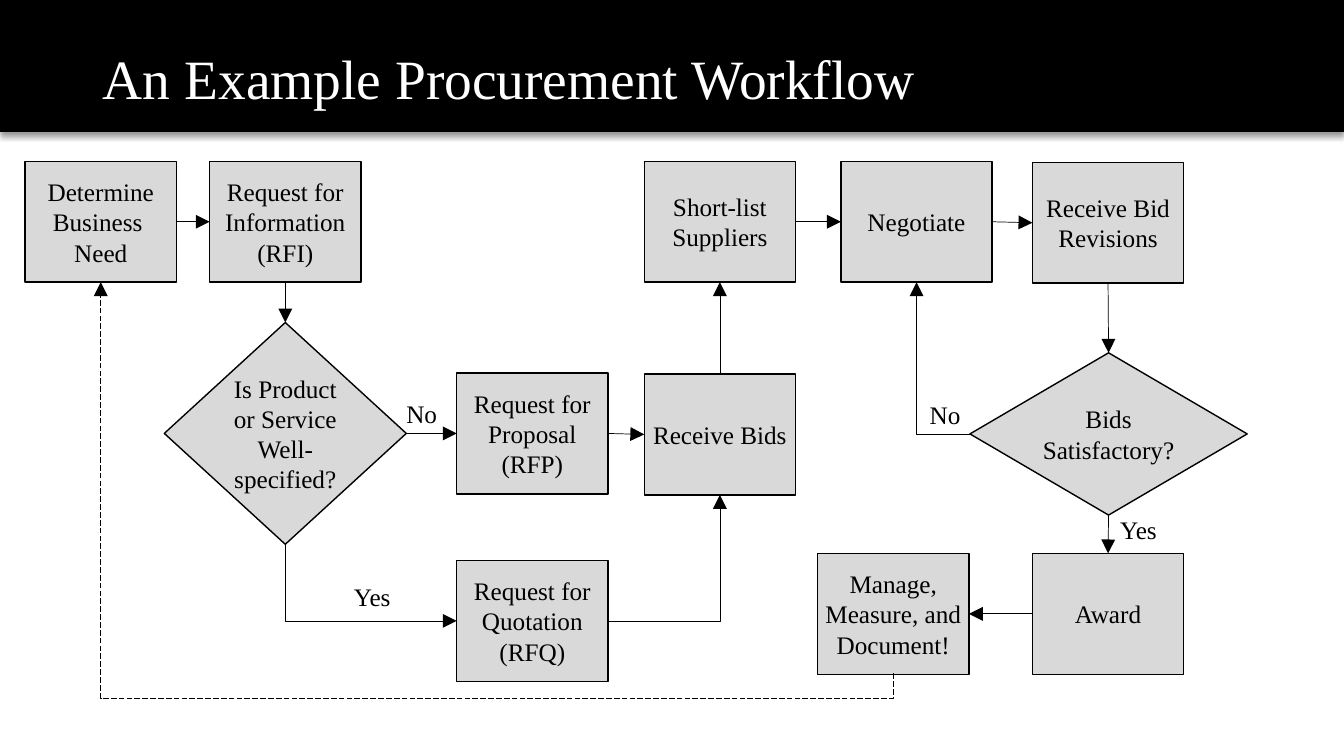
"""Build a one-slide flowchart of a procurement workflow."""
from lxml import etree
from pptx import Presentation
from pptx.dml.color import RGBColor
from pptx.enum import dml, shapes, text
from pptx.oxml import ns
from pptx.util import Inches, Pt

FONT = "Times New Roman"
TOP, LEFT, BOTTOM, RIGHT = range(4)


def color(hex_string):
    return RGBColor.from_string(hex_string)


def set_text(shape, words, size, hex_string, alignment):
    frame = shape.text_frame
    frame.word_wrap = True
    frame.margin_left = frame.margin_right = frame.margin_top = frame.margin_bottom = 0
    frame.text = words
    paragraph = frame.paragraphs[0]
    paragraph.alignment = alignment
    paragraph.font.name = FONT
    paragraph.font.size = Pt(size)
    paragraph.font.color.rgb = color(hex_string)


presentation = Presentation()
presentation.slide_width = Inches(13.33)
presentation.slide_height = Inches(7.5)
slide = presentation.slides.add_slide(presentation.slide_layouts[5])

banner = slide.shapes.add_shape(shapes.MSO_SHAPE.RECTANGLE, 0, 0, Inches(13.33), Inches(1.31))
banner.fill.solid()
banner.fill.fore_color.rgb = color("000000")
banner.line.fill.background()
banner.shadow.inherit = False
effects = banner._element.spPr.find(ns.qn("a:effectLst"))
shadow = etree.SubElement(effects, ns.qn("a:outerShdw"), blurRad=str(Pt(4)), dist=str(Pt(3)),
                          dir="5400000", algn="t", rotWithShape="0")
shadow_color = etree.SubElement(shadow, ns.qn("a:srgbClr"), val="000000")
etree.SubElement(shadow_color, ns.qn("a:alpha"), val="40000")
slide.shapes._spTree.insert(2, banner._element)

title = slide.shapes.title
title.left, title.top, title.width, title.height = map(Inches, (0.92, 0.4, 11.5, 0.91))
set_text(title, "An Example Procurement Workflow", 39.6, "FFFFFF", text.PP_ALIGN.LEFT)
title.text_frame.auto_size = text.MSO_AUTO_SIZE.NONE
title.text_frame.vertical_anchor = text.MSO_ANCHOR.TOP
title.text_frame.margin_left = Inches(0.1)
title.text_frame.margin_top = Inches(0.11)
title.text_frame.paragraphs[0].line_spacing = 0.9

BOX = (shapes.MSO_SHAPE.RECTANGLE, 1.5, 1.2)
steps = {
    "need": ("Determine Business \vNeed", 0.25, 1.6, *BOX),
    "rfi": ("Request for Information (RFI)", 2.08, 1.6, *BOX),
    "specified": ("Is Product or Service Well-specified?", 1.63, 3.2,
                  shapes.MSO_SHAPE.FLOWCHART_DECISION, 2.4, 2.2),
    "rfp": ("Request for Proposal (RFP)", 4.53, 3.7, *BOX),
    "rfq": ("Request for Quotation (RFQ)", 4.53, 5.56, *BOX),
    "bids": ("Receive Bids", 6.39, 3.71, *BOX),
    "shortlist": ("Short-list Suppliers", 6.39, 1.6, *BOX),
    "negotiate": ("Negotiate", 8.34, 1.6, *BOX),
    "revisions": ("Receive Bid Revisions", 10.24, 1.61, *BOX),
    "satisfactory": ("Bids Satisfactory?", 9.62, 3.5,
                     shapes.MSO_SHAPE.FLOWCHART_DECISION, 2.75, 1.61),
    "award": ("Award", 10.24, 5.49, *BOX),
    "manage": ("Manage, Measure, and Document!", 8.11, 5.49, *BOX),
}
nodes = {}
for name, (words, left, top, kind, width, height) in steps.items():
    shape = slide.shapes.add_shape(kind, *map(Inches, (left, top, width, height)))
    shape.fill.solid()
    shape.fill.fore_color.rgb = color("D9D9D9")
    shape.line.color.rgb = color("000000")
    shape.line.width = Pt(1)
    shape.shadow.inherit = False
    set_text(shape, words, 18, "000000", text.PP_ALIGN.CENTER)
    shape.text_frame.vertical_anchor = text.MSO_ANCHOR.MIDDLE
    nodes[name] = shape

straight_arrows = [
    ("need", RIGHT, "rfi", LEFT),
    ("rfi", BOTTOM, "specified", TOP),
    ("specified", RIGHT, "rfp", LEFT),
    ("rfp", RIGHT, "bids", LEFT),
    ("bids", TOP, "shortlist", BOTTOM),
    ("shortlist", RIGHT, "negotiate", LEFT),
    ("negotiate", RIGHT, "revisions", LEFT),
    ("revisions", BOTTOM, "satisfactory", TOP),
    ("satisfactory", BOTTOM, "award", TOP),
    ("award", LEFT, "manage", RIGHT),
]
bent_arrows = [
    ("specified", BOTTOM, "rfq", LEFT, (3.3, 4.93, 0.76, 1.7), 270, "flipH", "bentConnector2"),
    ("rfq", RIGHT, "bids", BOTTOM, (6.03, 4.91, 1.11, 1.25), 0, "flipV", "bentConnector2"),
    ("satisfactory", LEFT, "negotiate", BOTTOM, (9.09, 2.8, 0.53, 1.51), 180, None, "bentConnector2"),
    ("manage", BOTTOM, "need", BOTTOM, (2.99, 0.81, 3.88, 7.86), 90, "flipH", "bentConnector3"),
]
for start, start_side, end, end_side, *bend in straight_arrows + bent_arrows:
    kind = shapes.MSO_CONNECTOR.ELBOW if bend else shapes.MSO_CONNECTOR.STRAIGHT
    connector = slide.shapes.add_connector(kind, 0, 0, 0, 0)
    connector.begin_connect(nodes[start], start_side)
    connector.end_connect(nodes[end], end_side)
    connector.line.color.rgb = color("000000")
    connector.line.width = Pt(0.5)
    properties = connector._element.spPr
    if bend:
        frame, rotation, flip, preset = bend
        connector.left, connector.top, connector.width, connector.height = map(Inches, frame)
        transform = properties.find(ns.qn("a:xfrm"))
        for attribute in ("flipH", "flipV"):
            transform.set(attribute, "1" if attribute == flip else "0")
        transform.set("rot", str(rotation * 60000))
        geometry = properties.find(ns.qn("a:prstGeom"))
        geometry.set("prst", preset)
        if preset == "bentConnector3":
            adjustments = geometry.find(ns.qn("a:avLst"))
            etree.SubElement(adjustments, ns.qn("a:gd"), name="adj1", fmla="val -6400")
            connector.line.dash_style = dml.MSO_LINE.LONG_DASH
    outline = properties.find(ns.qn("a:ln"))
    etree.SubElement(outline, ns.qn("a:tailEnd"), type="triangle", w="lg", len="lg")
    etree.SubElement(properties, ns.qn("a:effectLst"))

for words, left, top in [("Yes", 3.51, 5.77), ("No", 4.03, 3.95), ("Yes", 11.11, 5.1), ("No", 9.22, 3.96)]:
    label = slide.shapes.add_textbox(*map(Inches, (left, top, 0.54, 0.3)))
    set_text(label, words, 18, "000000", text.PP_ALIGN.LEFT)
    label.text_frame.auto_size = text.MSO_AUTO_SIZE.SHAPE_TO_FIT_TEXT

presentation.save("out.pptx")
